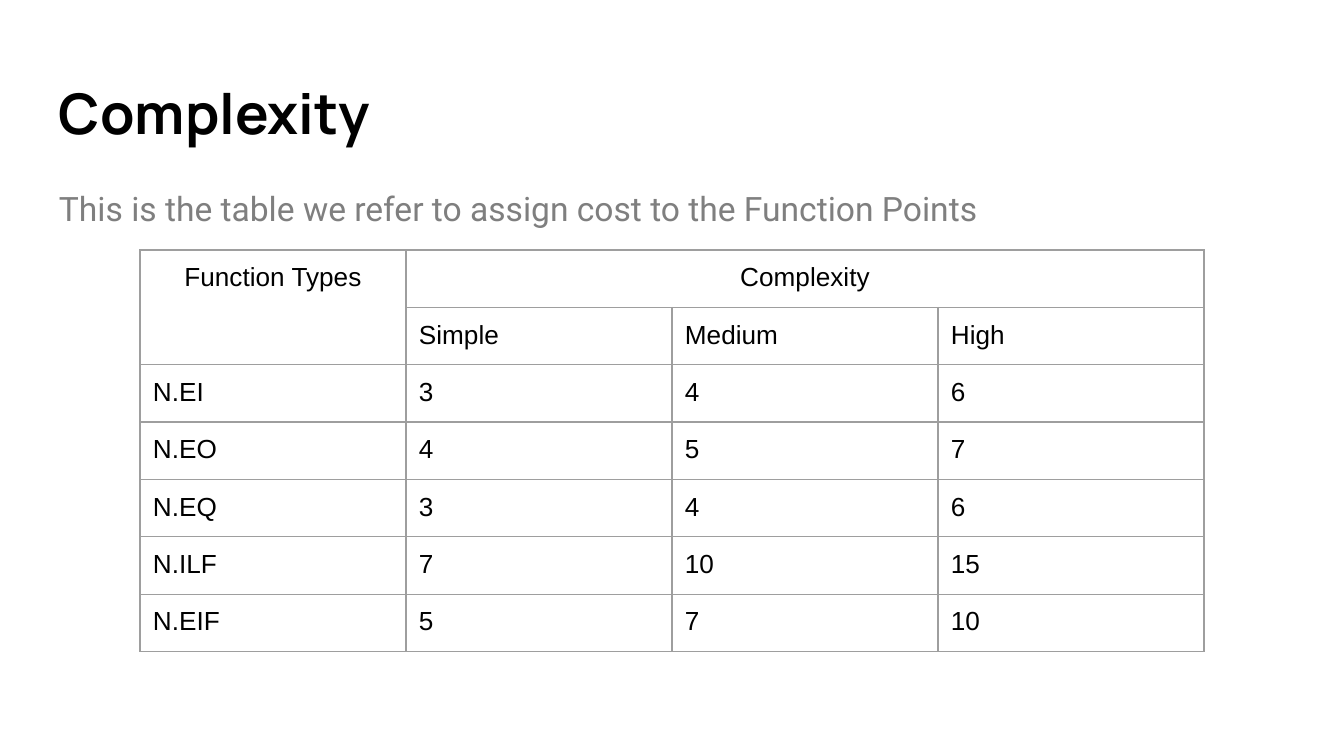
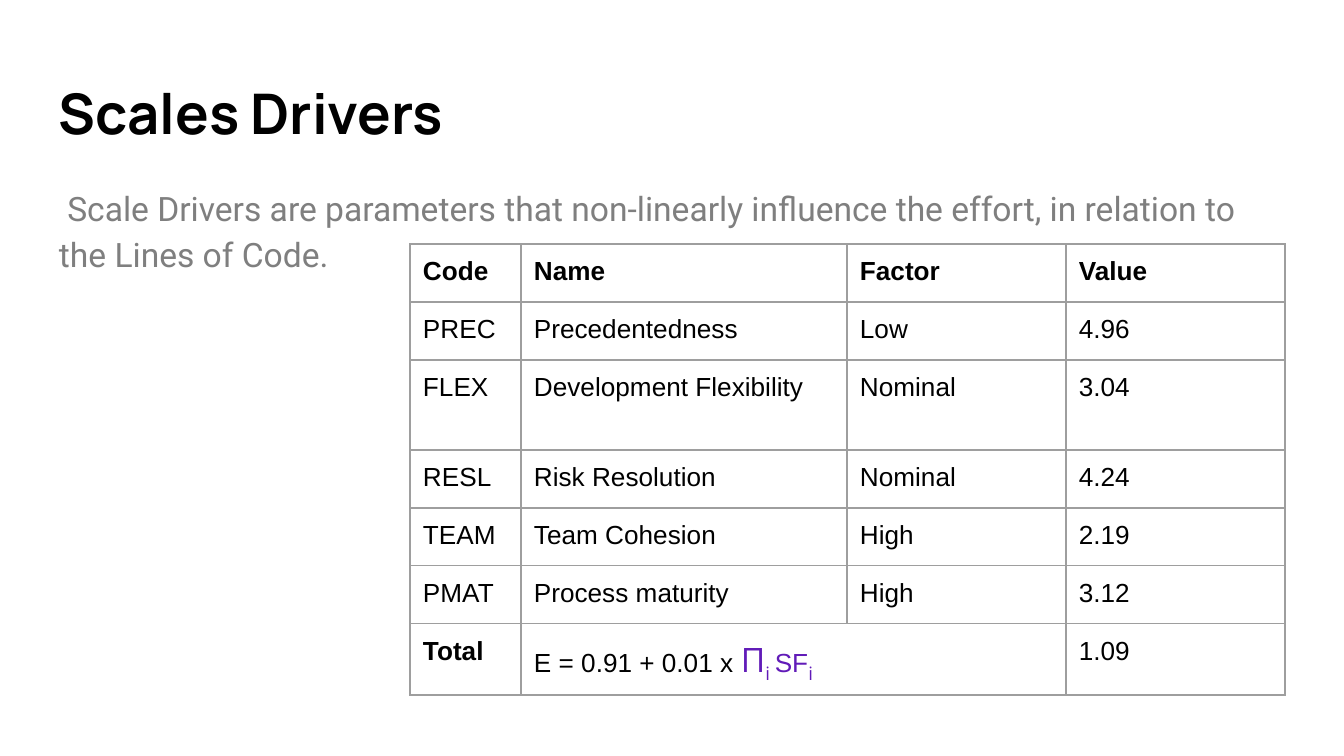
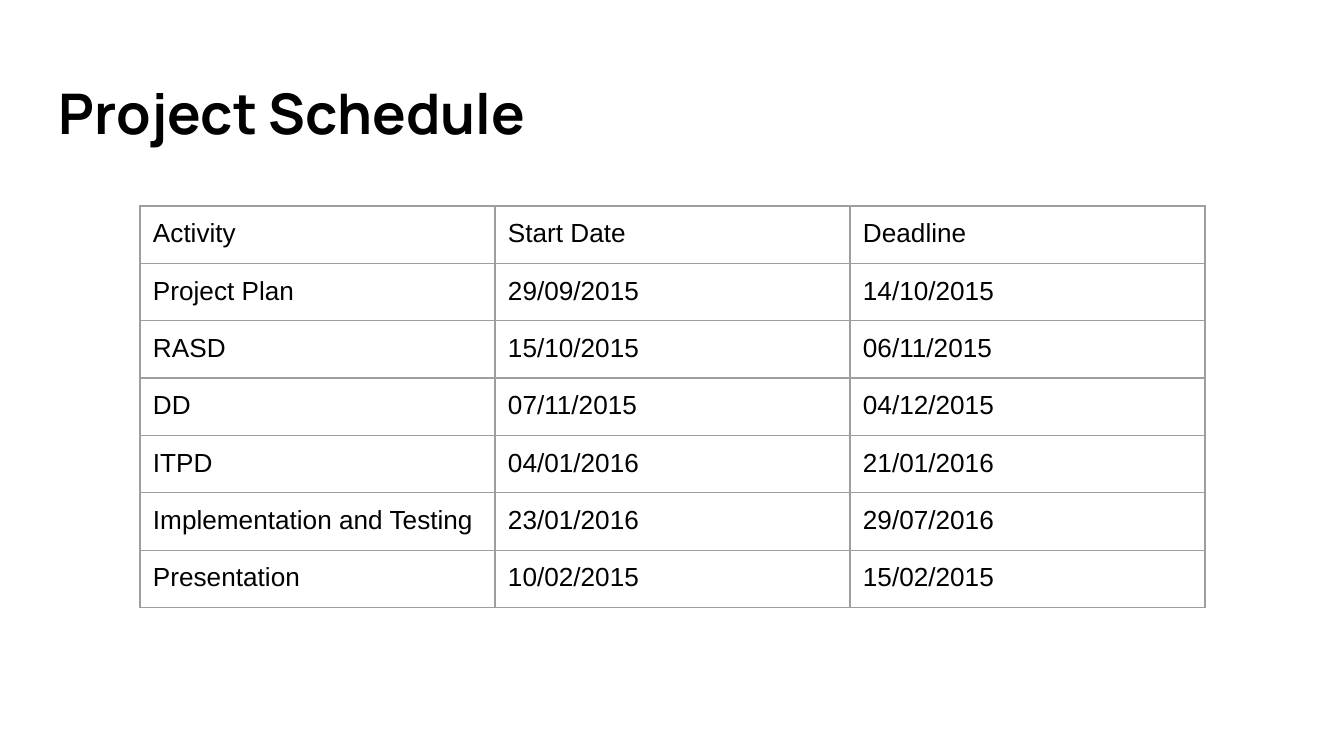
from dataclasses import dataclass

from pptx import Presentation
from pptx import util as u
from pptx.dml.color import RGBColor
from pptx.enum import text
from pptx.oxml import parse_xml
from pptx.oxml.ns import nsdecls


@dataclass(frozen=True)
class Style:
    font: str
    size: int
    color: str
    bold: bool = False
    baseline: int = 0


class Theme:
    background = "FFFFFF"
    border = "9E9E9E"
    border_width = u.Pt(0.75)
    inset = 13
    title = Style("Manrope", 30, "000000", True)
    lead = Style("Roboto", 18, "7F7F7F")
    cell = Style("Arial", 14, "000000")
    strong = Style("Arial", 14, "000000", True)
    product = Style("Open Sans", 18, "611BB8")
    index = Style("Open Sans", 17, "611BB8", baseline=-25000)
    factor = Style("Arial", 14, "611BB8")


SLIDE_SIZE = (1344, 756)
TITLE_BOX = (46, 66, 1252, 92)
LEAD_BOX = (46, 169, 1252, 503)

EFFORT_FORMULA = [
    ("E = 0.91 + 0.01 x ", Theme.cell),
    ("П", Theme.product),
    ("i ", Theme.index),
    ("SF", Theme.factor),
    ("i", Theme.index),
]

SLIDES = [
    {
        "title": "Complexity",
        "lead": "This is the table we refer to assign cost to the Function Points",
        "corner": (140, 250),
        "columns": [266] * 4,
        "heights": [56] * 7,
        "spans": [(0, 0, 1, 0), (0, 1, 0, 3)],
        "centered": [(0, 0), (0, 1)],
        "rows": [
            ["Function Types", "Complexity", None, None],
            [None, "Simple", "Medium", "High"],
            ["N.EI", "3", "4", "6"],
            ["N.EO", "4", "5", "7"],
            ["N.EQ", "3", "4", "6"],
            ["N.ILF", "7", "10", "15"],
            ["N.EIF", "5", "7", "10"],
        ],
    },
    {
        "title": "Scales Drivers",
        "lead": " Scale Drivers are parameters that non-linearly influence the effort, "
                "in relation to the Lines of Code.",
        "corner": (410, 244),
        "columns": [111, 326, 219, 219],
        "heights": [58, 58, 90, 58, 58, 58, 69],
        "spans": [(6, 1, 6, 2)],
        "strong": [(0, 0), (0, 1), (0, 2), (0, 3), (6, 0)],
        "rows": [
            ["Code", "Name", "Factor", "Value"],
            ["PREC", "Precedentedness", "Low", "4.96"],
            ["FLEX", "Development Flexibility", "Nominal", "3.04"],
            ["RESL", "Risk Resolution", "Nominal", "4.24"],
            ["TEAM", "Team Cohesion", "High", "2.19"],
            ["PMAT", "Process maturity", "High", "3.12"],
            ["Total", EFFORT_FORMULA, None, "1.09"],
        ],
    },
    {
        "title": "Project Schedule",
        "corner": (140, 206),
        "columns": [355] * 3,
        "heights": [56] * 7,
        "rows": [
            ["Activity", "Start Date", "Deadline"],
            ["Project Plan", "29/09/2015", "14/10/2015"],
            ["RASD", "15/10/2015", "06/11/2015"],
            ["DD", "07/11/2015", "04/12/2015"],
            ["ITPD", "04/01/2016", "21/01/2016"],
            ["Implementation and Testing", "23/01/2016", "29/07/2016"],
            ["Presentation", "10/02/2015", "15/02/2015"],
        ],
    },
]


def px(length):
    return u.Emu(round(length * 914400 / 134.4))


def add_run(paragraph, words, style):
    run = paragraph.add_run()
    run.text = words
    run.font.name = style.font
    run.font.size = u.Pt(style.size)
    run.font.bold = style.bold
    run.font.color.rgb = RGBColor.from_string(style.color)
    if style.baseline:
        run.font._element.set("baseline", str(style.baseline))


def set_insets(holder):
    for side in ("left", "top", "right", "bottom"):
        setattr(holder, f"margin_{side}", px(Theme.inset))


def add_words(slide, box, words, style):
    frame = slide.shapes.add_textbox(*map(px, box)).text_frame
    frame.word_wrap = True
    set_insets(frame)
    paragraph = frame.paragraphs[0]
    add_run(paragraph, words, style)
    return paragraph


def frame_cell(cell):
    properties = cell._tc.get_or_add_tcPr()
    for side in "LRTB":
        properties.append(parse_xml(
            f'<a:ln{side} {nsdecls("a")} w="{Theme.border_width}"><a:solidFill>'
            f'<a:srgbClr val="{Theme.border}"/></a:solidFill></a:ln{side}>'))
    cell.fill.background()
    set_insets(cell)


def add_grid(slide, content):
    rows, columns, heights = (content[key] for key in ("rows", "columns", "heights"))
    box = (*content["corner"], sum(columns), sum(heights))
    grid = slide.shapes.add_table(len(rows), len(columns), *map(px, box)).table
    grid.first_row = grid.horz_banding = False
    for column, width in zip(grid.columns, columns):
        column.width = px(width)
    for row, height in zip(grid.rows, heights):
        row.height = px(height)
    for top, left, bottom, right in content.get("spans", []):
        grid.cell(top, left).merge(grid.cell(bottom, right))
    for r, row in enumerate(rows):
        for c, entry in enumerate(row):
            cell = grid.cell(r, c)
            frame_cell(cell)
            if entry is None:
                continue
            style = Theme.strong if (r, c) in content.get("strong", []) else Theme.cell
            paragraph = cell.text_frame.paragraphs[0]
            if (r, c) in content.get("centered", []):
                paragraph.alignment = text.PP_ALIGN.CENTER
            for words, look in [(entry, style)] if isinstance(entry, str) else entry:
                add_run(paragraph, words, look)


def main():
    deck = Presentation()
    deck.slide_width, deck.slide_height = map(px, SLIDE_SIZE)
    for content in SLIDES:
        slide = deck.slides.add_slide(deck.slide_layouts[6])
        slide.background.fill.solid()
        slide.background.fill.fore_color.rgb = RGBColor.from_string(Theme.background)
        add_words(slide, TITLE_BOX, content["title"], Theme.title)
        if "lead" in content:
            lead = add_words(slide, LEAD_BOX, content["lead"], Theme.lead)
            lead.line_spacing = 1.15
            lead.space_after = u.Pt(16)
        add_grid(slide, content)
    deck.save("out.pptx")


if __name__ == "__main__":
    main()
